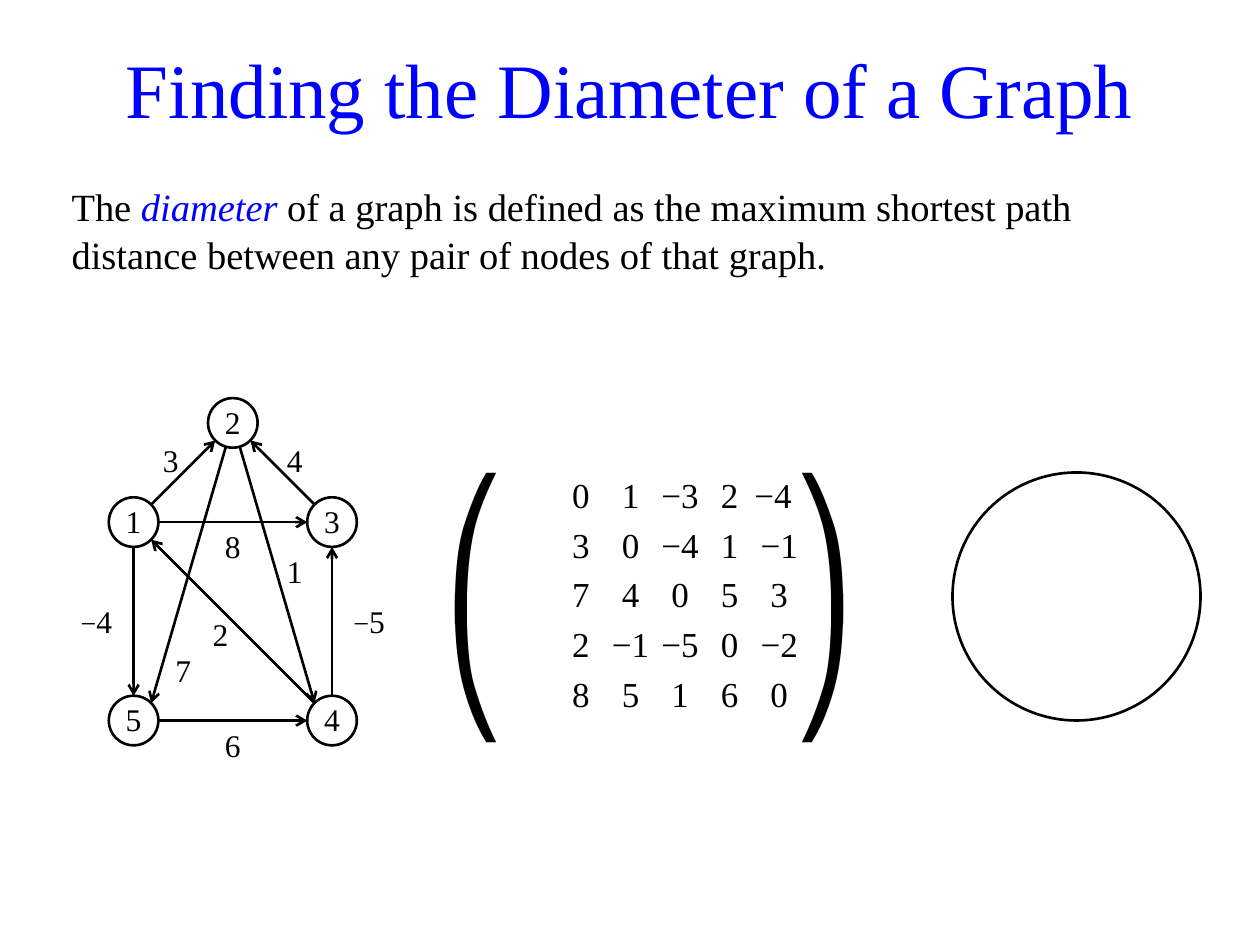
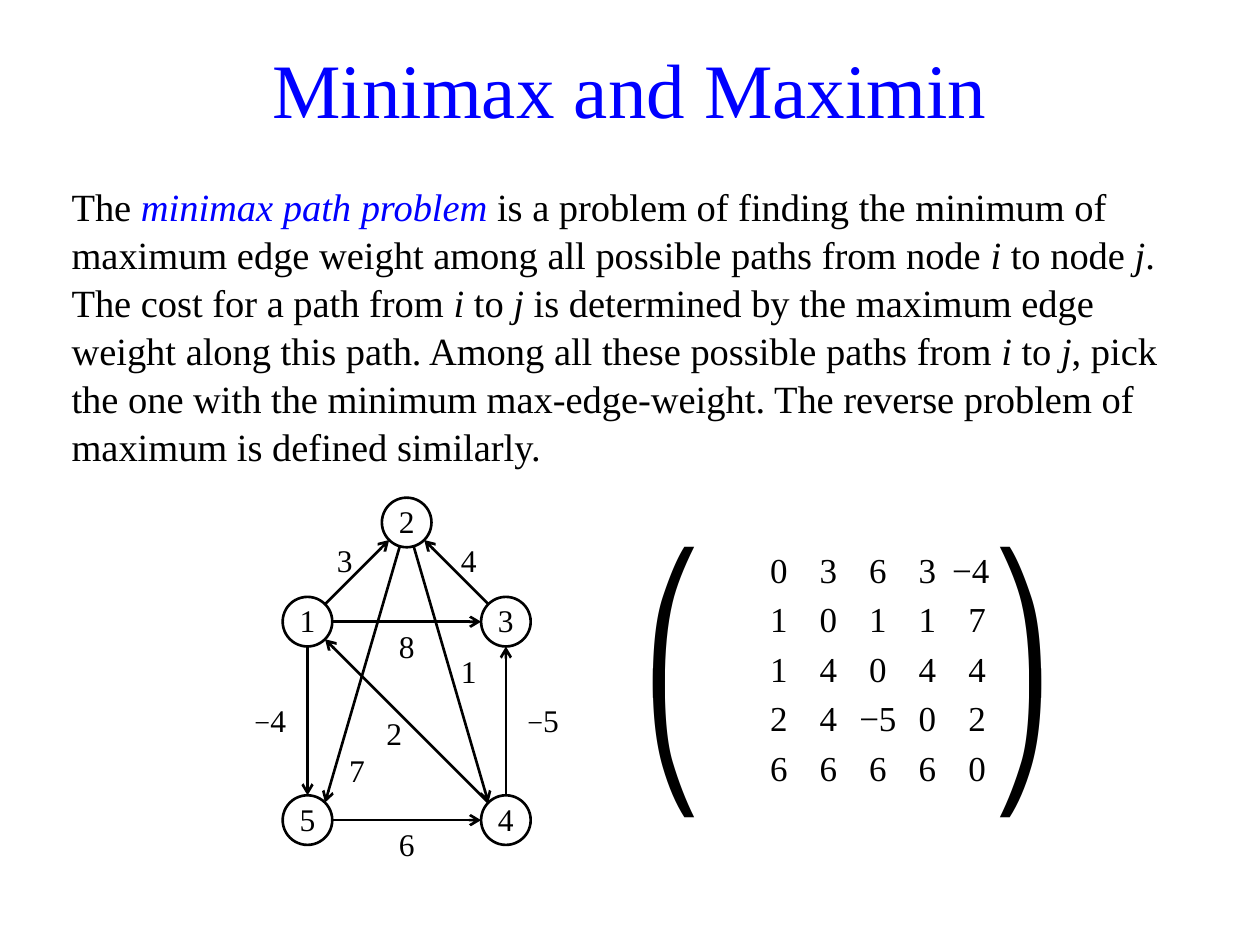
import math

import pptx
import pptx.dml.color
import pptx.enum.shapes
import pptx.enum.text
import pptx.oxml.ns
import pptx.util
from lxml import etree
from pptx.util import Inches

BLUE = pptx.dml.color.RGBColor(0x00, 0x00, 0xFF)
BLACK = pptx.dml.color.RGBColor(0x00, 0x00, 0x00)
WHITE = pptx.dml.color.RGBColor(0xFF, 0xFF, 0xFF)
TEXT_FONT = "Times New Roman"
BRACKET_FONT = "Noto Sans CJK JP"
PLAIN_TABLE_STYLE = "{2D5ABB26-0587-4C30-8999-92F81FD0307C}"
TITLE_ONLY = 5
MARGIN = 0.47
TEXT_WIDTH = 9.06
CELL = 1 / 2.54  # grid step shared by graphs and matrices, in inches

CENTER = pptx.enum.text.PP_ALIGN.CENTER
LEFT = pptx.enum.text.PP_ALIGN.LEFT
TOP = pptx.enum.text.MSO_ANCHOR.TOP
MIDDLE = pptx.enum.text.MSO_ANCHOR.MIDDLE
BOTTOM = pptx.enum.text.MSO_ANCHOR.BOTTOM

# Node centres in grid steps from the corner of the graph's box
NODES = {"2": (3.5, 0.5), "1": (1.5, 2.5), "3": (5.5, 2.5), "5": (1.5, 6.5), "4": (5.5, 6.5)}
EDGES_FROM_CENTRE = ["24", "25"]
EDGES_FROM_RIM = ["12", "32", "13", "43", "15", "54", "41"]
# Weight, then left, top, width and height in grid steps
WEIGHTS = [
    ("3", 1.5, 0.5, 1.5, 1.5), ("−4", 0, 4, 1.5, 1), ("−5", 5.5, 4, 1.5, 1),
    ("6", 3, 6.5, 1, 1), ("7", 2, 5, 1, 1), ("2", 2.5, 4, 1.5, 1.5),
    ("8", 3, 2.5, 1, 1), ("1", 4, 3, 1.5, 1), ("4", 4, 0.5, 1.5, 1.5),
]

DISTANCES = ["0 1 −3 2 −4", "3 0 −4 1 −1", "7 4 0 5 3", "2 −1 −5 0 −2", "8 5 1 6 0"]
MINIMAX_COSTS = ["0 3 6 3 −4", "1 0 1 1 7", "1 4 0 4 4", "2 4 −5 0 2", "6 6 6 6 0"]

DIAMETER_TEXT = (
    "The *diameter* of a graph is defined as the maximum shortest path "
    "distance between any pair of nodes of that graph."
)
MINIMAX_TEXT = (
    "The *minimax path problem* is a problem of finding the minimum of maximum "
    "edge weight among all possible paths from node *i* to node *j*. The cost for "
    "a path from *i* to *j* is determined by the maximum edge weight along this "
    "path. Among all these possible paths from *i* to *j*, pick the one with the "
    "minimum max-edge-weight. The reverse problem of maximum is defined similarly."
)


def format_run(run, size, color=BLACK, font=TEXT_FONT):
    run.font.size = pptx.util.Pt(size)
    run.font.color.rgb = color
    run.font.name = font


def set_frame(frame, anchor, margins, wrap=True):
    """Set anchor, wrapping and the left, top, right and bottom margins."""
    frame.vertical_anchor = anchor
    frame.word_wrap = wrap
    frame.margin_left, frame.margin_top, frame.margin_right, frame.margin_bottom = map(Inches, margins)


def grid_box(left, top, column, row, width, height):
    """Turn a grid rectangle inside the box at left, top into lengths."""
    return (Inches(left + column * CELL), Inches(top + row * CELL),
            Inches(width * CELL), Inches(height * CELL))


def add_title(slide, text):
    title = slide.shapes.title
    title.left, title.top = Inches(MARGIN), Inches(0.21)
    title.width, title.height = Inches(TEXT_WIDTH), Inches(0.98)
    title.text_frame.text = text
    title.text_frame.vertical_anchor = MIDDLE
    paragraph = title.text_frame.paragraphs[0]
    paragraph.alignment = CENTER
    format_run(paragraph.runs[0], 44, BLUE)


def add_definition(slide, text, height):
    """Write text with *italic* parts, the first of which is the blue term."""
    box = slide.shapes.add_textbox(Inches(MARGIN), Inches(1.39), Inches(TEXT_WIDTH), Inches(height))
    box.text_frame.word_wrap = True
    paragraph = box.text_frame.paragraphs[0]
    paragraph.line_spacing = 1.04
    for index, piece in enumerate(text.split("*")):
        run = paragraph.add_run()
        run.text = piece
        format_run(run, 22, BLUE if index == 1 else BLACK)
        run.font.italic = index % 2 == 1


def add_circle(slide, box, fill=None):
    circle = slide.shapes.add_shape(pptx.enum.shapes.MSO_SHAPE.OVAL, *box)
    circle.shadow.inherit = False
    if fill is None:
        circle.fill.background()
    else:
        circle.fill.solid()
        circle.fill.fore_color.rgb = fill
    circle.line.color.rgb = BLACK
    circle.line.width = pptx.util.Pt(1.5)
    return circle


def rim_point(node, toward):
    """Point on the circle of node, in the compass direction of toward."""
    (x, y), (other_x, other_y) = NODES[node], NODES[toward]
    angle = math.atan2((other_y > y) - (other_y < y), (other_x > x) - (other_x < x))
    return x + 0.5 * math.cos(angle), y + 0.5 * math.sin(angle)


def add_edge(slide, left, top, start, end):
    connector = slide.shapes.add_connector(
        pptx.enum.shapes.MSO_CONNECTOR.STRAIGHT,
        *(Inches(origin + step * CELL)
          for point in (start, end) for origin, step in zip((left, top), point)))
    connector.line.color.rgb = BLACK
    connector.line.width = pptx.util.Pt(1.5)
    properties = connector.element.spPr
    etree.SubElement(properties.get_or_add_ln(), pptx.oxml.ns.qn("a:tailEnd"), type="arrow")
    etree.SubElement(properties, pptx.oxml.ns.qn("a:effectLst"))


def add_node(slide, left, top, name):
    x, y = NODES[name]
    circle = add_circle(slide, grid_box(left, top, x - 0.5, y - 0.5, 1, 1), WHITE)
    set_frame(circle.text_frame, BOTTOM, (0, 0, 0, 0), wrap=False)
    circle.text_frame.text = name
    paragraph = circle.text_frame.paragraphs[0]
    paragraph.alignment = CENTER
    format_run(paragraph.runs[0], 18)


def add_weight(slide, left, top, weight, *place):
    label = slide.shapes.add_textbox(*grid_box(left, top, *place))
    height = place[-1]
    set_frame(label.text_frame, TOP if height == 1 else MIDDLE, (0.1, 0.04, 0.1, 0.04))
    paragraph = label.text_frame.paragraphs[0]
    paragraph.alignment = CENTER
    for symbol in weight:
        run = paragraph.add_run()
        run.text = symbol
        format_run(run, 16 if symbol == "−" else 18)


def add_graph(slide, left, top):
    for start, end in EDGES_FROM_CENTRE:
        add_edge(slide, left, top, NODES[start], rim_point(end, start))
    for name in NODES:
        add_node(slide, left, top, name)
    for start, end in EDGES_FROM_RIM:
        add_edge(slide, left, top, rim_point(start, end), rim_point(end, start))
    for weight in WEIGHTS:
        add_weight(slide, left, top, *weight)


def add_bracket(slide, left, top, column, halves):
    box = slide.shapes.add_textbox(*grid_box(left, top, column, 0, 3, 6))
    frame = box.text_frame
    set_frame(frame, TOP, (0.1, 0.15, 0.1, 0))
    frame.auto_size = pptx.enum.text.MSO_AUTO_SIZE.SHAPE_TO_FIT_TEXT
    frame.text = "\n".join(halves)
    frame.paragraphs[1].line_spacing = pptx.util.Pt(69)
    for paragraph in frame.paragraphs:
        run = paragraph.runs[0]
        format_run(run, 72, font=BRACKET_FONT)
        etree.SubElement(run.font._element, pptx.oxml.ns.qn("a:ea"), typeface=BRACKET_FONT)


def add_matrix(slide, left, top, rows):
    """Place a bracketed matrix in a box ten grid steps wide and six high."""
    add_bracket(slide, left, top, 7, "⎞⎠")
    add_bracket(slide, left, top, 0, "⎛⎝")
    values = [row.split() for row in rows]
    size = len(values)
    frame = slide.shapes.add_table(size, size, *grid_box(left, top, 2.5, 0.5, size, size))
    table = frame.table
    table.first_row = table.horz_banding = False
    for style in frame.element.iter(pptx.oxml.ns.qn("a:tableStyleId")):
        style.text = PLAIN_TABLE_STYLE
    for row, row_values in enumerate(values):
        for column, value in enumerate(row_values):
            cell = table.cell(row, column)
            cell.fill.background()
            cell.vertical_anchor = MIDDLE
            cell.margin_left = cell.margin_right = cell.margin_top = cell.margin_bottom = 0
            cell.text_frame.text = value
            paragraph = cell.text_frame.paragraphs[0]
            paragraph.alignment = LEFT if (row, column) == (0, size - 1) else CENTER
            format_run(paragraph.runs[0], 20)


def add_topic_slide(presentation, title, definition, definition_height):
    slide = presentation.slides.add_slide(presentation.slide_layouts[TITLE_ONLY])
    add_title(slide, title)
    add_definition(slide, definition, definition_height)
    return slide


def add_diameter_slide(presentation):
    slide = add_topic_slide(presentation, "Finding the Diameter of a Graph", DIAMETER_TEXT, 0.79)
    add_matrix(slide, 3.43, 3.55, DISTANCES)
    add_graph(slide, MARGIN, 3.16)
    add_circle(slide, grid_box(7.56, 3.75, 0, 0, 5, 5))


def add_minimax_slide(presentation):
    slide = add_topic_slide(presentation, "Minimax and Maximin", MINIMAX_TEXT, 2.36)
    add_matrix(slide, 5, 4.14, MINIMAX_COSTS)
    add_graph(slide, 1.85, 3.95)


def main():
    presentation = pptx.Presentation()
    presentation.slide_width, presentation.slide_height = Inches(10), Inches(7.5)
    add_diameter_slide(presentation)
    add_minimax_slide(presentation)
    presentation.save("out.pptx")


if __name__ == "__main__":
    main()
